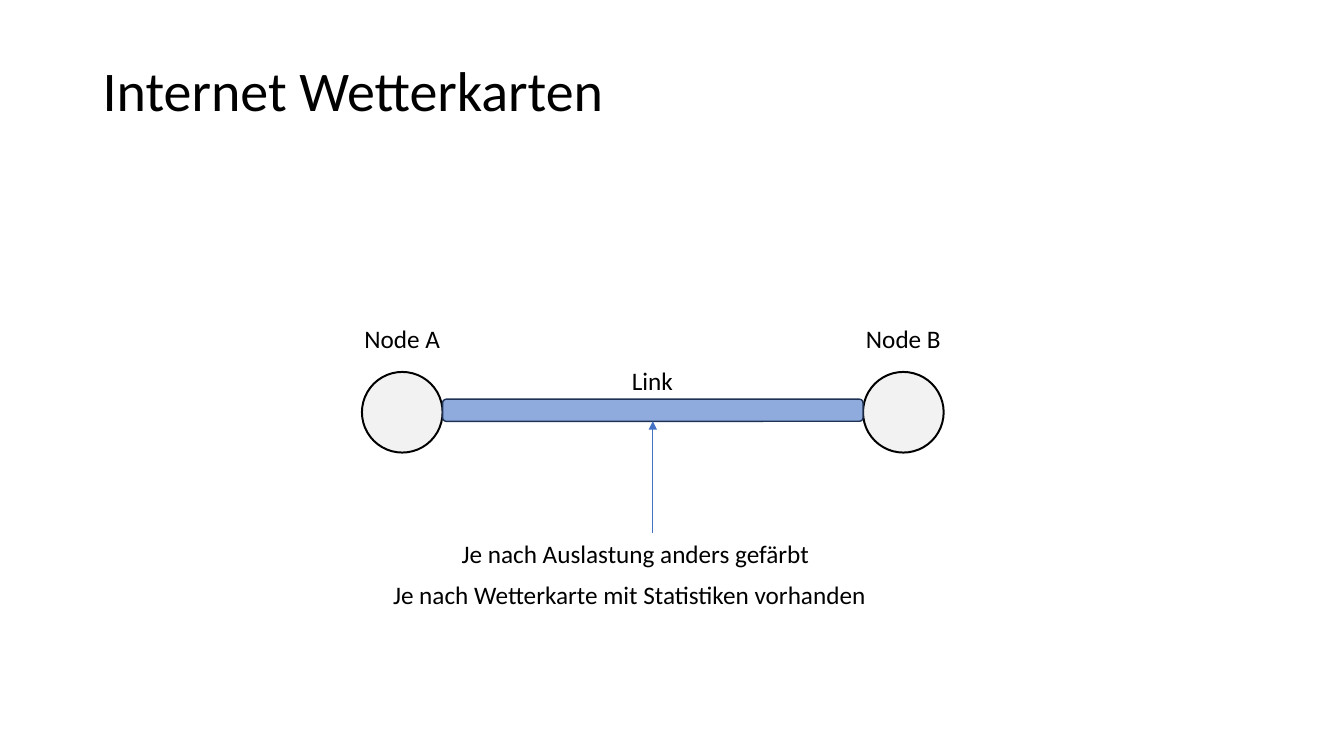
from lxml import etree
from pptx import Presentation
from pptx.dml import color
from pptx.enum import shapes, text
from pptx.oxml import ns
from pptx.util import Inches, Pt

INK = {"black": "000000", "bar": "8FAADC", "edge": "1E3256", "arrow": "4472C4"}


class Deck:
    """Holds the style and the current slide."""

    font = "Calibri"

    def __init__(self):
        self.prs = Presentation()
        self.prs.slide_width = Inches(13.33)
        self.prs.slide_height = Inches(7.5)
        self.slide = self.prs.slides.add_slide(self.prs.slide_layouts[6])

    def tint(self, name):
        return color.RGBColor.from_string(INK[name])

    def shape(self, kind, x, y, w, h, fill, line, width, alpha=None):
        item = self.slide.shapes.add_shape(
            kind, Inches(x), Inches(y), Inches(w), Inches(h))
        item.shadow.inherit = False
        item.fill.solid()
        item.fill.fore_color.rgb = self.tint(fill)
        item.line.color.rgb = self.tint(line)
        item.line.width = Pt(width)
        if alpha:
            tone = item.fill._xPr.find(".//" + ns.qn("a:srgbClr"))
            etree.SubElement(tone, ns.qn("a:alpha"), val=str(alpha * 1000))
        return item

    def label(self, words, x, y, w, h=0.4, size=18, mid=False):
        box = self.slide.shapes.add_textbox(
            Inches(x), Inches(y), Inches(w), Inches(h))
        frame = box.text_frame
        frame.word_wrap = True
        frame.auto_size = text.MSO_AUTO_SIZE.SHAPE_TO_FIT_TEXT
        para = frame.paragraphs[0]
        para.text = words
        para.alignment = text.PP_ALIGN.CENTER if mid else text.PP_ALIGN.LEFT
        para.font.name = self.font
        para.font.size = Pt(size)
        para.font.color.rgb = self.tint("black")
        return box

    def title(self, words, x, y, w, h):
        frame = self.label(words, x, y, w, h, 40).text_frame
        frame.auto_size = text.MSO_AUTO_SIZE.NONE
        frame.vertical_anchor = text.MSO_ANCHOR.MIDDLE
        frame.paragraphs[0].line_spacing = 0.9

    def arrow(self, start, end):
        item = self.slide.shapes.add_connector(
            shapes.MSO_CONNECTOR.STRAIGHT, 0, 0, 0, 0)
        item.begin_connect(start, 0)
        item.end_connect(end, 2)
        item.line.color.rgb = self.tint("arrow")
        item.line.width = Pt(0.5)
        etree.SubElement(item.line._get_or_add_ln(), ns.qn("a:tailEnd"),
                         type="triangle")
        etree.SubElement(item._element.spPr, ns.qn("a:effectLst"))


def main():
    deck = Deck()
    kind = shapes.MSO_SHAPE
    deck.title("Internet Wetterkarten", 0.92, 0.2, 9.61, 1.45)
    for name, x in (("Node A", 3.59), ("Node B", 8.56)):
        deck.shape(kind.OVAL, x, 3.69, 0.8, 0.8, "black", "black", 1.42, 5)
        deck.label(name, x - 0.18, 3.16, 1.16, mid=True)
    deck.label("Link", 5.89, 3.58, 1.16, mid=True)
    bar = deck.shape(kind.ROUNDED_RECTANGLE, 4.39, 3.96, 4.17, 0.22,
                     "bar", "edge", 1)
    note = deck.label("Je nach Auslastung anders gefärbt", 4.48, 5.29, 3.99)
    deck.label("Je nach Wetterkarte mit Statistiken vorhanden", 3.8, 5.7, 5.34)
    deck.arrow(note, bar)
    deck.prs.save("out.pptx")


if __name__ == "__main__":
    main()
